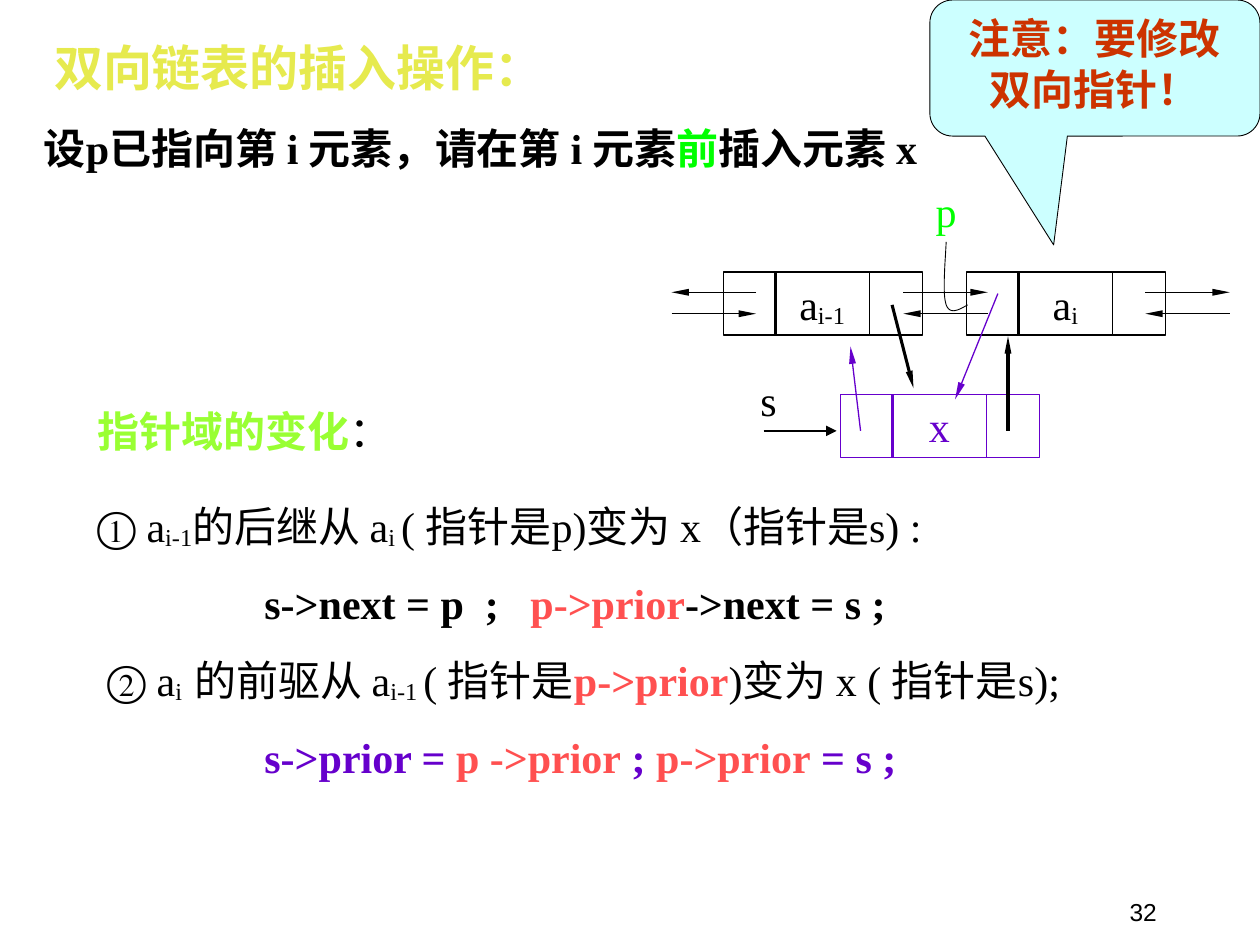
from lxml import etree
from pptx import Presentation
from pptx import util as u
from pptx.dml.color import RGBColor
from pptx.enum import shapes, text
from pptx.oxml.ns import qn

Inches = u.Inches
COLORS = {
    "black": "000000", "title": "E6EA4E", "green": "00FF00", "lime": "99FF33",
    "coral": "FF5050", "purple": "6600CC", "brick": "CC3300", "sky": "CCFFFF",
}
SERIF = "Times New Roman"
SUB = {"sub": True}
CORAL = {"color": "coral", "bold": True}
BOLD = {"bold": True}
PURPLE = {"color": "purple", "bold": True}


def rgb(name):
    return RGBColor.from_string(COLORS[name])


def add_text(p, content, size=24, color="black", bold=False, font=SERIF, sub=False):
    r = p.add_run()
    r.text = content
    r.font.size = u.Pt(size)
    r.font.name = font
    r.font.bold = bold
    r.font.color.rgb = rgb(color)
    if sub:
        r.font._element.set("baseline", "-10000")


def write(sp, paragraphs, align="LEFT", anchor="TOP", wrap=True, gap=0, indents=(), **fmt):
    tf = sp.text_frame
    tf.word_wrap = wrap
    tf.auto_size = text.MSO_AUTO_SIZE.NONE
    tf.vertical_anchor = getattr(text.MSO_ANCHOR, anchor)
    for i, runs in enumerate(paragraphs):
        p = tf.add_paragraph() if i else tf.paragraphs[0]
        p.alignment = getattr(text.PP_ALIGN, align)
        if i:
            p.space_before = u.Pt(gap)
        if indents:
            pPr = p._p.get_or_add_pPr()
            pPr.set("marL", str(Inches(indents[i])))
            pPr.set("indent", "0")
        for content, own in runs:
            add_text(p, content, **{**fmt, **own})


def add_box(parent, left, top, width, height, paragraphs, **fmt):
    sp = parent.add_textbox(Inches(left), Inches(top), Inches(width), Inches(height))
    write(sp, paragraphs, **fmt)


def add_outline(sp, color="black", weight=0.75, fill=None):
    sp.shadow.inherit = False
    if fill:
        sp.fill.solid()
        sp.fill.fore_color.rgb = rgb(fill)
    else:
        sp.fill.background()
    sp.line.color.rgb = rgb(color)
    sp.line.width = u.Pt(weight)


def add_line(parent, start, end, color="black", weight=0.75, arrow=True, w="sm", length="lg"):
    sp = parent.add_connector(shapes.MSO_CONNECTOR.STRAIGHT, *map(Inches, start + end))
    sp.line.color.rgb = rgb(color)
    sp.line.width = u.Pt(weight)
    spPr = sp._element.spPr
    if arrow:
        etree.SubElement(spPr.find(qn("a:ln")), qn("a:tailEnd"),
                         type="triangle", w=w, len=length)
    etree.SubElement(spPr, qn("a:effectLst"))


def add_node(parent, left, top, label, color="black"):
    for dx, width, runs in ((0, 0.42, []), (0.41, 0.75, label), (1.16, 0.42, [])):
        sp = parent.add_shape(shapes.MSO_SHAPE.RECTANGLE, Inches(left + dx), Inches(top),
                              Inches(width), Inches(0.5))
        add_outline(sp, color)
        if runs:
            write(sp, [runs], align="CENTER", color=color)


def add_curve(parent, start, segments, steps=12):
    points = []
    p0 = start
    for c1, c2, p3 in segments:
        for t in (k / steps for k in range(1, steps + 1)):
            points.append(tuple(
                Inches((1 - t) ** 3 * a + 3 * t * (1 - t) ** 2 * b
                       + 3 * t ** 2 * (1 - t) * c + t ** 3 * d)
                for a, b, c, d in zip(p0, c1, c2, p3)))
        p0 = p3
    builder = parent.build_freeform(Inches(start[0]), Inches(start[1]))
    builder.add_line_segments(points, close=False)
    add_outline(builder.convert_to_shape(), weight=0.5)


def add_heading(s, left, top, width, height):
    title = s.shapes.title
    title.left, title.top = Inches(left), Inches(top)
    title.width, title.height = Inches(width), Inches(height)
    write(title, [[("双向链表的插入操作：", {})]], size=28, color="title", bold=True)


def add_callout(s, left, top, width, height):
    sp = s.shapes.add_shape(shapes.MSO_SHAPE.ROUNDED_RECTANGULAR_CALLOUT,
                            Inches(left), Inches(top), Inches(width), Inches(height))
    for i, value in enumerate((-0.125, 1.3, 0.167)):
        sp.adjustments[i] = value
    add_outline(sp, weight=0.5, fill="sky")
    write(sp, [[("注意：要修改双向指针！", {})]], align="CENTER", color="brick", bold=True)


def add_list_diagram(s, left, top):
    parent = s.shapes.add_group_shape().shapes

    def at(dx, dy):
        return left + dx, top + dy

    add_node(parent, *at(0.41, 0.74), [("a", {}), ("i-1", SUB)])
    add_node(parent, *at(2.34, 0.74), [("a", {}), ("i", SUB)])
    add_node(parent, *at(1.34, 1.71), [("x", {})], color="purple")
    for x in (0, 1.84, 3.76):
        forward, back = (1.07, 0.9) if x == 0 else (0.9, 1.07)
        rightward, leftward = forward, back
        add_line(parent, at(x, rightward), at(x + 0.67, rightward))
        add_line(parent, at(x + 0.67, leftward), at(x, leftward))
    add_line(parent, at(2.59, 0.91), at(2.25, 1.75), color="purple")
    add_line(parent, at(1.5, 2), at(1.42, 1.33), color="purple")
    add_line(parent, at(1.75, 1), at(1.92, 1.66), weight=1.75)
    add_line(parent, at(2.67, 2), at(2.67, 1.25), weight=1.75)
    add_line(parent, at(0.73, 2), at(1.31, 2), w="med", length="med")
    add_box(parent, *at(0.56, 1.5), 0.42, 0.5, [[("s", {})]], align="CENTER")
    add_box(parent, *at(1.93, 0), 0.5, 0.5, [[("p", {})]], align="CENTER", color="green")
    add_curve(parent, at(2.18, 0.5), [
        (at(2.17, 0.7), at(2.15, 0.91), at(2.18, 1)),
        (at(2.21, 1.08), at(2.28, 1.04), at(2.35, 1)),
    ])


def add_steps(s, left, top, width, height):
    add_box(s.shapes, left, top, width, height, [
        [("① a", {}), ("i-1", SUB), ("的后继从 a", {}), ("i ", SUB),
         ("( 指针是p)变为 x（指针是s) :", {})],
        [("s->next = p  ;   ", BOLD), ("p->prior", CORAL), ("->next = s ;", BOLD)],
        [("② a", {}), ("i  ", SUB), ("的前驱从 a", {}), ("i-1 ", SUB), ("( 指针是", {}),
         ("p->prior", CORAL), (")变为 x ( 指针是s);", {})],
        [("s->prior = ", PURPLE), ("p ->prior", CORAL), (" ; ", PURPLE),
         ("p->prior", CORAL), (" = s ;", PURPLE)],
    ], gap=15, indents=(0, 1.33, 0.08, 1.33))


def main():
    prs = Presentation()
    prs.slide_width, prs.slide_height = Inches(10), Inches(7.5)
    s = prs.slides.add_slide(prs.slide_layouts[5])
    add_heading(s, 0.33, 0.25, 4.94, 0.57)
    add_box(s.shapes, 0.25, 0.92, 7.25, 0.9, [[
        ("设p已指向第 i 元素，请在第 i 元素", {}), ("前", {"color": "green"}),
        ("插入元素 x", {})]], bold=True)
    add_steps(s, 0.67, 3.92, 8.75, 2.34)
    add_callout(s, 7.38, 0, 2.62, 1.08)
    add_list_diagram(s, 5.33, 1.42)
    add_box(s.shapes, 0.68, 3.17, 2.53, 0.5, [[
        ("指针域的变化", {"color": "lime", "bold": True}), ("：", {})]],
        align="CENTER", wrap=False)
    add_box(s.shapes, 7.2, 6.9, 2.08, 0.5, [[("32", {})]], align="RIGHT",
            anchor="BOTTOM", size=14, font="Arial")
    prs.save("out.pptx")


if __name__ == "__main__":
    main()
